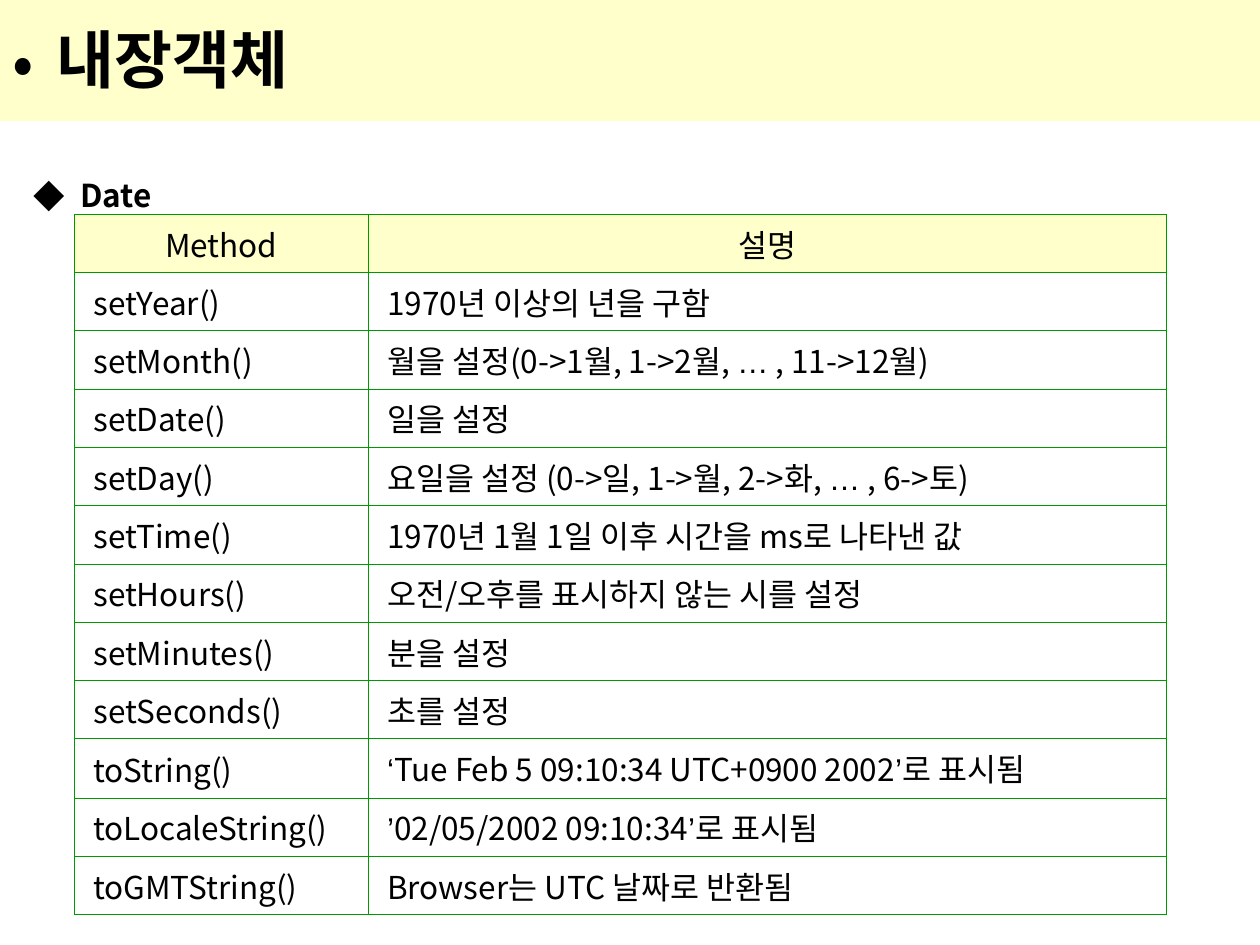
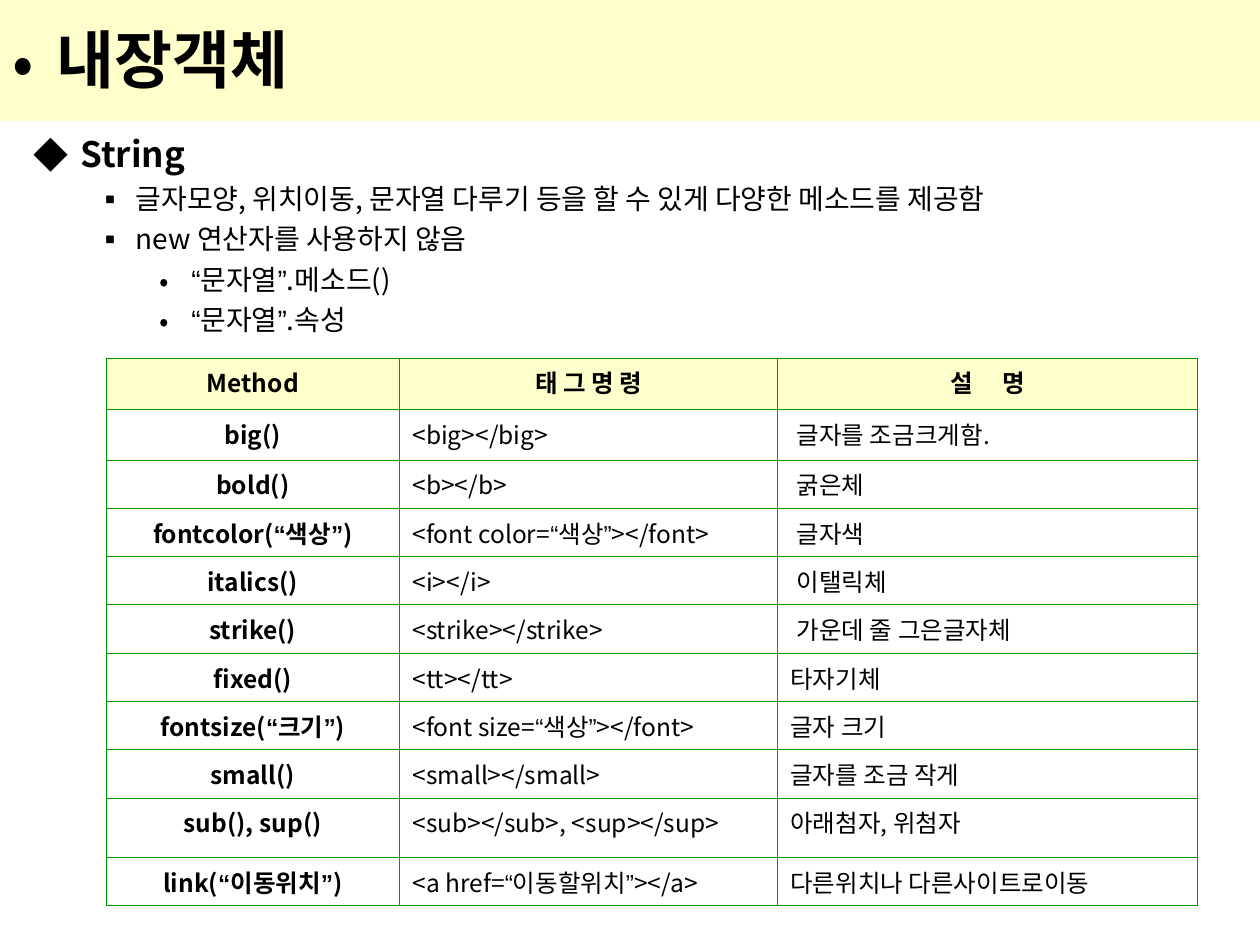
from itertools import groupby

from lxml import etree
from pptx import Presentation
from pptx.dml.color import RGBColor
from pptx.enum.text import MSO_ANCHOR, MSO_AUTO_SIZE, PP_ALIGN
from pptx.oxml.ns import qn
from pptx.util import Inches, Pt

LEFT, CENTER = PP_ALIGN.LEFT, PP_ALIGN.CENTER
MIDDLE = MSO_ANCHOR.MIDDLE
NO_AUTOFIT = MSO_AUTO_SIZE.NONE
TITLE_ONLY = 5

CREAM, BLACK, GREEN = "FFFFCC", "000000", "009900"
FONT, PUNCTUATION_FONT = "Noto Sans CJK KR", "Arial"
PUNCTUATION = "‘’“”…"
BORDER_WIDTH = Pt(0.45)


def paint(fill, colour):
    fill.solid()
    fill.fore_color.rgb = RGBColor.from_string(colour)


def write(paragraph, text, size, bold=False, align=LEFT, bullet=None, margin=0, hang=0):
    """Fill a paragraph; curly quotes and ellipses get their own font."""
    paragraph.alignment = align
    if bullet:
        props = paragraph._p.get_or_add_pPr()
        props.set("marL", str(Inches(margin)))
        props.set("indent", str(-Inches(hang)))
        bullet_colour = etree.SubElement(props, qn("a:buClr"))
        etree.SubElement(bullet_colour, qn("a:srgbClr"), val=BLACK)
        etree.SubElement(props, qn("a:buFont"), typeface=FONT)
        etree.SubElement(props, qn("a:buChar"), char=bullet)
    font = paragraph.font
    font.size, font.bold, font.name = Pt(size), bold, FONT
    paint(font.fill, BLACK)
    etree.SubElement(font._element, qn("a:ea"), typeface=FONT)
    for is_punctuation, chars in groupby(text, key=lambda char: char in PUNCTUATION):
        run = paragraph.add_run()
        run.text = "".join(chars)
        if is_punctuation:
            run.font.name = PUNCTUATION_FONT
            etree.SubElement(run.font._element, qn("a:ea"), typeface=PUNCTUATION_FONT)


# Content: bullet levels are (bullet, margin, hang)
HEADING = ("◆", 0.37, 0.37)
POINT = ("▪", 0.81, 0.31)
EXAMPLE = ("•", 1.25, 0.25)

date_rows = [
    ("Method", "설명"),
    ("setYear()", "1970년 이상의 년을 구함"),
    ("setMonth()", "월을 설정(0->1월, 1->2월, … , 11->12월)"),
    ("setDate()", "일을 설정"),
    ("setDay()", "요일을 설정 (0->일, 1->월, 2->화, … , 6->토)"),
    ("setTime()", "1970년 1월 1일 이후 시간을 ms로 나타낸 값"),
    ("setHours()", "오전/오후를 표시하지 않는 시를 설정"),
    ("setMinutes()", "분을 설정"),
    ("setSeconds()", "초를 설정"),
    ("toString()", "‘Tue Feb 5 09:10:34 UTC+0900 2002’로 표시됨"),
    ("toLocaleString()", "’02/05/2002 09:10:34’로 표시됨"),
    ("toGMTString()", "Browser는 UTC 날짜로 반환됨"),
]
string_rows = [
    ("Method", "태 그 명 령", "설 명"),
    ("big()", "<big></big>", "글자를 조금크게함."),
    ("bold()", "<b></b>", "굵은체"),
    ("fontcolor(“색상”)", "<font color=“색상”></font>", "글자색"),
    ("italics()", "<i></i>", "이탤릭체"),
    ("strike()", "<strike></strike>", "가운데 줄 그은글자체"),
    ("fixed()", "<tt></tt>", "타자기체"),
    ("fontsize(“크기”)", "<font size=“색상”></font>", "글자 크기"),
    ("small()", "<small></small>", "글자를 조금 작게"),
    ("sub(), sup()", "<sub></sub>, <sup></sup>", "아래첨자, 위첨자"),
    ("link(“이동위치”)", "<a href=“이동할위치”></a>", "다른위치나 다른사이트로이동"),
]
# Rows without an entry in special_heights share the rest of the table height
topics = [
    {
        "outline_top": 1.35,
        "outline": [("Date", 18, True, HEADING)],
        "rows": date_rows, "left": 0.59, "top": 1.7, "size": 18,
        "widths": [7 / 3, 19 / 3],
        "height": 5.56, "special_heights": {9: 0.47},
        "bold_methods": False,
        "inset_cells": {(row, col) for row in range(1, 12) for col in range(2)},
    },
    {
        "outline_top": 1,
        "outline": [
            ("String", 20, True, HEADING),
            ("글자모양, 위치이동, 문자열 다루기 등을 할 수 있게 다양한 메소드를 제공함", 16, False, POINT),
            ("new 연산자를 사용하지 않음", 16, False, POINT),
            ("“문자열”.메소드()", 16, False, EXAMPLE),
            ("“문자열”.속성", 16, False, EXAMPLE),
        ],
        "rows": string_rows, "left": 0.84, "top": 2.84, "size": 14,
        "widths": [7 / 3, 3, 10 / 3],
        "height": 4.35, "special_heights": {0: 0.41, 1: 0.4, 9: 0.47},
        "bold_methods": True,
        "inset_cells": {(row, 2) for row in range(1, 6)},
    },
]

prs = Presentation()
prs.slide_width, prs.slide_height = Inches(10), Inches(7.5)
tables = []

for topic in topics:
    slide = prs.slides.add_slide(prs.slide_layouts[TITLE_ONLY])

    # Title band
    title = slide.shapes.title
    title.left, title.top = Inches(0), Inches(-0.03)
    title.width, title.height = Inches(10), Inches(0.99)
    paint(title.fill, CREAM)
    title.text_frame.auto_size = NO_AUTOFIT
    title.text_frame.vertical_anchor = MIDDLE
    write(title.text_frame.paragraphs[0], "내장객체", 36, True,
          bullet="•", margin=0.35, hang=0.35)

    # Outline
    outline = slide.shapes.add_textbox(
        Inches(0.17), Inches(topic["outline_top"]), Inches(9.67), Inches(5.92)).text_frame
    outline.word_wrap = True
    for index, (text, size, bold, (bullet, margin, hang)) in enumerate(topic["outline"]):
        paragraph = outline.add_paragraph() if index else outline.paragraphs[0]
        paragraph.level = [HEADING, POINT, EXAMPLE].index((bullet, margin, hang))
        if index:
            paragraph.space_before = Pt(4)
        write(paragraph, text, size, bold, bullet=bullet, margin=margin, hang=hang)

    # Method table
    rows, widths, special = topic["rows"], topic["widths"], topic["special_heights"]
    usual_height = (topic["height"] - sum(special.values())) / (len(rows) - len(special))
    methods = slide.shapes.add_table(
        len(rows), len(widths), Inches(topic["left"]), Inches(topic["top"]),
        Inches(sum(widths)), Inches(topic["height"])).table
    methods.first_row = methods.horz_banding = False
    for column, width in zip(methods.columns, widths):
        column.width = Inches(width)
    for row_no, texts in enumerate(rows):
        methods.rows[row_no].height = Inches(special.get(row_no, usual_height))
        for col_no, text in enumerate(texts):
            cell = methods.cell(row_no, col_no)
            cell_props = cell._tc.get_or_add_tcPr()
            for side in ("lnL", "lnR", "lnT", "lnB"):
                line = etree.SubElement(cell_props, qn(f"a:{side}"), w=str(BORDER_WIDTH))
                line_fill = etree.SubElement(line, qn("a:solidFill"))
                etree.SubElement(line_fill, qn("a:srgbClr"), val=GREEN)
            is_header = row_no == 0
            if is_header:
                paint(cell.fill, CREAM)
            else:
                cell.fill.background()
            if (row_no, col_no) in topic["inset_cells"]:
                cell.margin_left = Inches(0.15)
            strong = topic["bold_methods"] and (is_header or col_no == 0)
            write(cell.text_frame.paragraphs[0], text, topic["size"], strong,
                  CENTER if is_header or strong else LEFT)
    tables.append(methods)

# Details of single cells: centred toString(), widely spaced last heading
date_methods, string_methods = tables
date_methods.cell(9, 0).vertical_anchor = MIDDLE
description = string_methods.cell(0, 2).text_frame.paragraphs[0].runs[0]
description.font._element.set("spc", "700")

prs.save("out.pptx")
